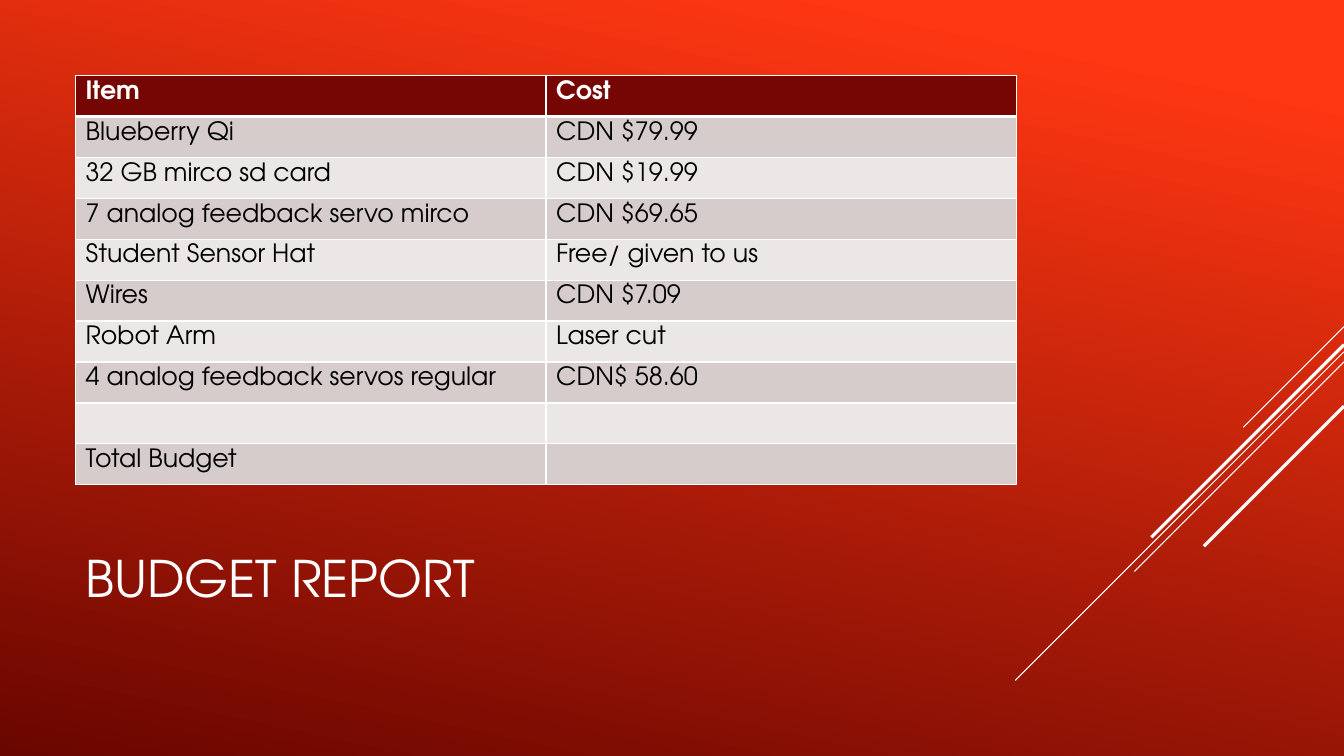
from lxml import etree
from pptx import Presentation
from pptx.dml.color import RGBColor
from pptx.enum.shapes import MSO_CONNECTOR
from pptx.enum.text import MSO_ANCHOR
from pptx.oxml.ns import qn
from pptx.util import Inches, Pt

STRAIGHT = MSO_CONNECTOR.STRAIGHT
MIDDLE = MSO_ANCHOR.MIDDLE
FONT = "TeX Gyre Adventor"
WIDTH, HEIGHT = 13.33, 7.5
MARGIN = 0.75
WHITE, BLACK, MAROON = "FFFFFF", "000000", "760603"
BANDS = ("D6CCCC", "ECE7E7")

BUDGET = [
    ("Item", "Cost"),
    ("Blueberry Qi", "CDN $79.99"),
    ("32 GB mirco sd card", "CDN $19.99"),
    ("7 analog feedback servo mirco", "CDN $69.65"),
    ("Student Sensor Hat", "Free/ given to us"),
    ("Wires", "CDN $7.09"),
    ("Robot Arm", "Laser cut"),
    ("4 analog feedback servos regular", "CDN$ 58.60"),
    ("", ""),
    ("Total Budget", ""),
]
# Diagonal rays: start height on the right edge, run at 45 degrees, weight
RAYS = [(3.24, 1, 0.75), (3.49, 3.26, 0.75), (3.59, 2.08, 0.75),
        (3.42, 1.91, 2.25), (4.03, 1.39, 2.25)]


def color(hex_code):
    return RGBColor.from_string(hex_code)


def write(frame, text, size=18, ink=BLACK, bold=False):
    paragraph = frame.paragraphs[0]
    paragraph.font.size = Pt(size)
    if text:
        run = paragraph.add_run()
        run.text = text
        run.font.name = FONT
        run.font.size = Pt(size)
        run.font.bold = bold
        run.font.color.rgb = color(ink)


def draw_borders(cell, **weights):
    properties = cell._tc.get_or_add_tcPr()
    for index, (side, weight) in enumerate(weights.items()):
        edge = etree.Element(qn(f"a:{side}"), w=str(Pt(weight)))
        fill = etree.SubElement(edge, qn("a:solidFill"))
        etree.SubElement(fill, qn("a:srgbClr"), val=WHITE)
        properties.insert(index, edge)


def paint_background(slide):
    fill = slide.background.fill
    fill.gradient()
    fill.gradient_angle = 360 - 102
    for stop, position, shade in zip(fill.gradient_stops, (0.1, 1), ("FF3712", "6A0600")):
        stop.position = position
        stop.color.rgb = color(shade)


def add_rays(slide, right):
    for top, run, weight in RAYS:
        ray = slide.shapes.add_connector(
            STRAIGHT, Inches(right), Inches(top), Inches(right - run), Inches(top + run))
        ray.line.color.rgb = color(WHITE)
        ray.line.width = Pt(weight)
        etree.SubElement(ray._element.spPr, qn("a:effectLst"))


def add_title(slide, left, top, width, height):
    title = slide.shapes.add_textbox(*map(Inches, (left, top, width, height)))
    title.text_frame.word_wrap = True
    title.text_frame.vertical_anchor = MIDDLE
    write(title.text_frame, "BUDGET REPORT", size=36, ink=WHITE)


def add_budget_table(slide, left, top, width, height):
    budget = slide.shapes.add_table(
        len(BUDGET), len(BUDGET[0]), *map(Inches, (left, top, width, height))).table
    for r, entries in enumerate(BUDGET):
        header = r == 0
        for c, entry in enumerate(entries):
            cell = budget.cell(r, c)
            cell.margin_top = cell.margin_bottom = Inches(0.05)
            cell.fill.solid()
            cell.fill.fore_color.rgb = color(MAROON if header else BANDS[(r - 1) % 2])
            draw_borders(cell, lnL=1, lnR=1, lnT=3 if r == 1 else 1, lnB=3 if header else 1)
            write(cell.text_frame, entry, ink=WHITE if header else BLACK, bold=header)


def build_slide(deck):
    slide = deck.slides.add_slide(deck.slide_layouts[6])
    content_width = WIDTH * 0.7
    paint_background(slide)
    add_rays(slide, WIDTH)
    add_title(slide, MARGIN, 4.9, content_width, HEIGHT * 0.22)
    add_budget_table(slide, MARGIN, MARGIN, content_width, 4.06)


deck = Presentation()
deck.slide_width, deck.slide_height = Inches(WIDTH), Inches(HEIGHT)
build_slide(deck)
deck.save("out.pptx")
